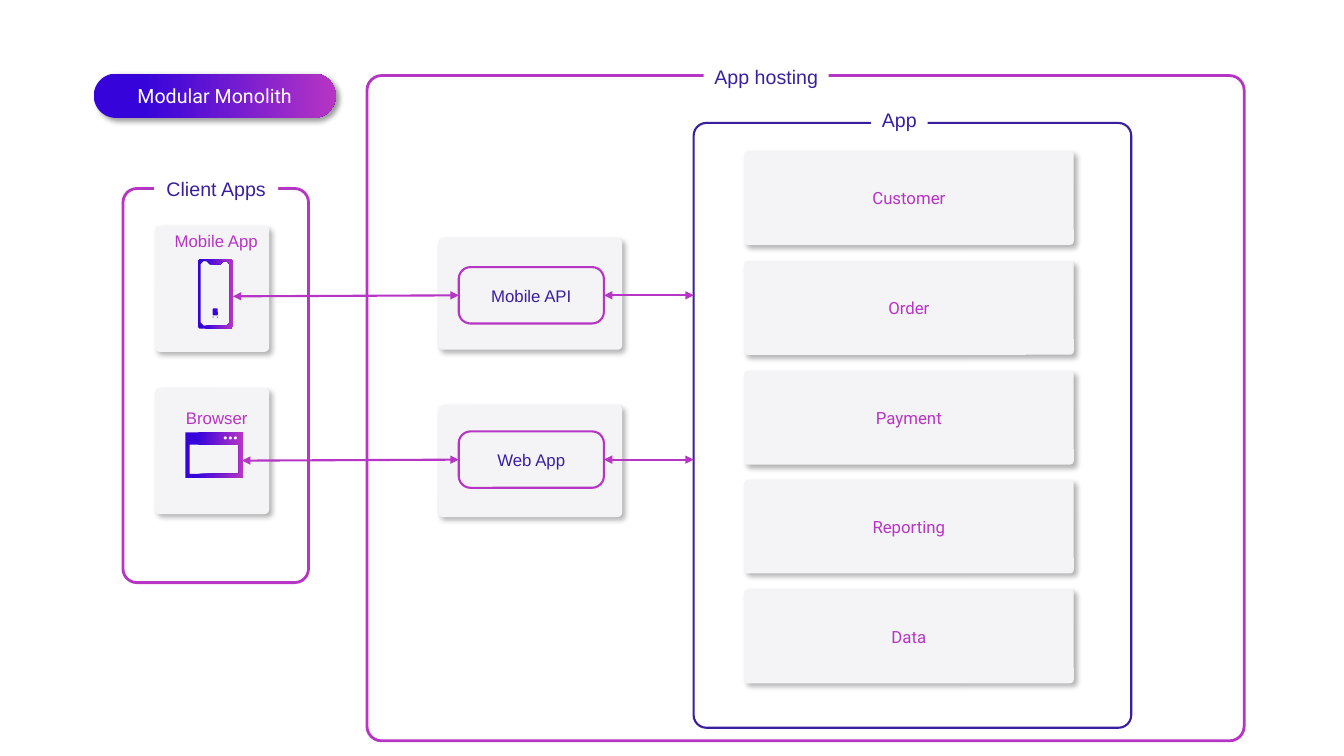
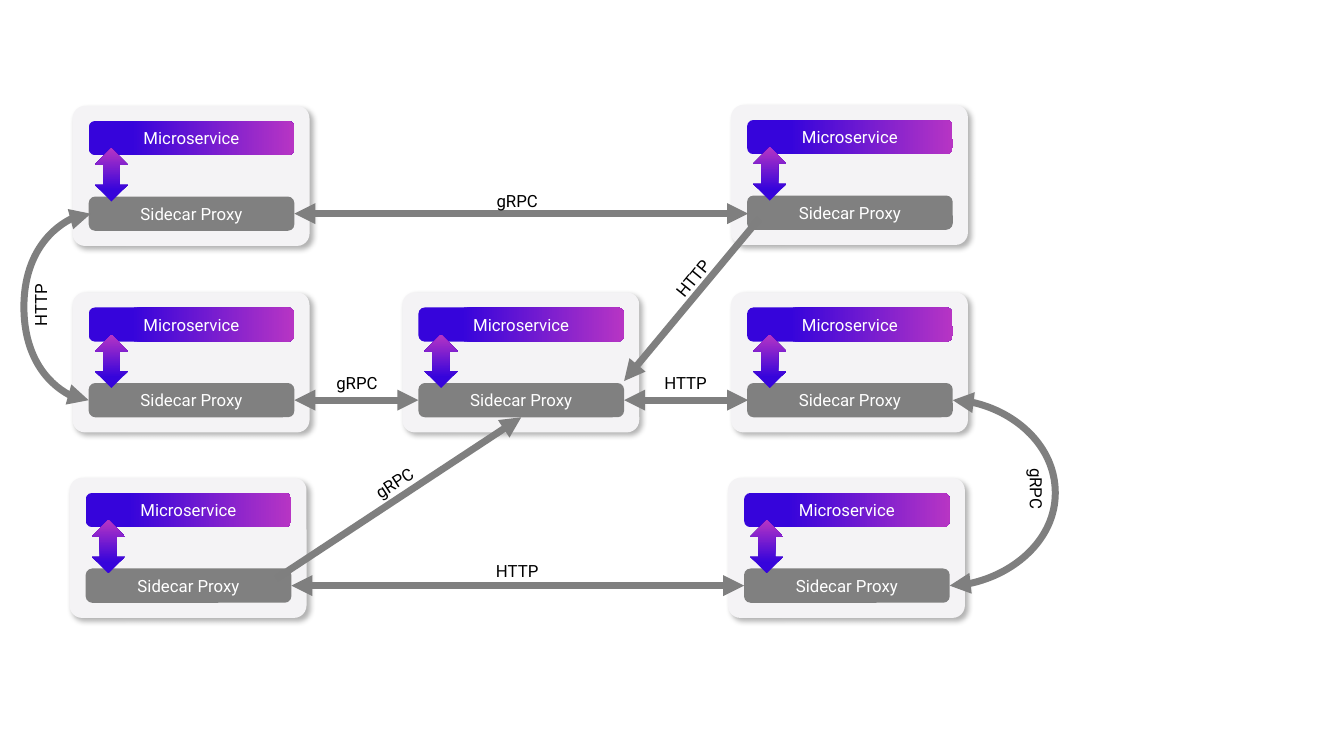
"""Build two architecture slides: a modular monolith and a service mesh."""
from dataclasses import dataclass

import lxml.etree
import pptx
import pptx.dml.color
import pptx.enum.dml
import pptx.enum.shapes
import pptx.enum.text
import pptx.oxml
import pptx.oxml.ns
import pptx.util

PX = 9144
SHAPES = pptx.enum.shapes.MSO_SHAPE
CONNECTORS = pptx.enum.shapes.MSO_CONNECTOR


@dataclass(frozen=True)
class Theme:
    """Colours, fonts, type sizes and line widths."""
    purple: str = "B735C4"
    blue: str = "3604DB"
    indigo: str = "3A20A0"
    app_frame: str = "391E9F"
    card: str = "F4F3F5"
    white: str = "FFFFFF"
    black: str = "000000"
    proxy: str = "808080"
    mesh: str = "7F7F7F"
    plain_font: str = "Arial"
    brand_font: str = "Roboto"
    heading: int = 14
    body: int = 12
    frame_line: float = 2
    thin_line: float = 1.5
    mesh_line: float = 5


THEME = Theme()

MODULES = ["Customer", "Order", "Payment", "Reporting", "Data"]
MODULE_LEFT, MODULE_WIDTH, MODULE_HEIGHT = 738, 327, 93
MODULE_TOP, MODULE_LAST_TOP = 150, 585
PLAIN_CARDS = [(154, 224, 113, 125), (154, 385, 113, 125),
               (435, 236, 182, 111), (435, 402, 182, 111)]
FRAMES = [
    ("Client Apps", (122, 187, 184, 391), 0.075, THEME.purple, THEME.frame_line, (153, 170, 123, 34)),
    ("App hosting", (364, 75, 870, 660), 0.022, THEME.purple, THEME.frame_line, (698, 59, 124, 34)),
    ("App", (688, 122, 434, 600), 0.029, THEME.app_frame, THEME.thin_line, (864, 102, 56, 34)),
]
CLIENT_NAMES = [("Mobile App", (162, 224, 105, 30)), ("Browser", (174, 400, 82, 30))]
ENDPOINTS = [("Mobile API", (455, 265, 144, 56)), ("Web App", (455, 428, 144, 56))]
CLIENT_LINKS = [((231, 294), (455, 293)), ((240, 457), (455, 456)),
                ((599, 293), (688, 293)), ((599, 456), (688, 456))]
PHONE = [
    [(198, 257), (229, 257), (231, 259), (231, 324), (229, 326), (198, 326), (196, 324), (196, 259)],
    [(202, 259), (205, 259), (208, 262), (219, 262), (222, 259), (225, 259),
     (228, 262), (228, 320), (225, 323), (202, 323), (199, 320), (199, 262)],
]
WINDOW = [
    [(184, 429), (241, 429), (241, 474), (184, 474)],
    [(188, 441), (237, 441), (237, 470), (188, 470)],
]
PHONE_DETAILS = [(211, 306, 5, 7), (211, 314, 1, 1), (215, 314, 1, 1), (219, 259, 1, 1)]
WINDOW_BUTTONS = [(left, 433, 3, 3) for left in (222, 227, 232)]

SERVICES = [(69, 474), (72, 105), (72, 290), (399, 290), (722, 474), (725, 104), (725, 290)]
MESH_LINKS = [
    ((289, 581), (738, 581), True),
    ((274, 574), (517, 414), False),
    ((619, 397), (742, 397), True),
    ((292, 397), (415, 397), True),
    ((753, 217), (619, 378), False),
    ((292, 212), (742, 212), True),
]
MESH_CURVES = [((945, 397), (942, 581), 1047), ((90, 212), (88, 397), 24)]
MESH_LABELS = [
    ("HTTP", (289, 551, 448, 30), 0),
    ("gRPC", (255, 464, 272, 30), 326.8),
    ("gRPC", (293, 365, 122, 30), 0),
    ("HTTP", (-54, 288, 188, 30), 270),
    ("gRPC", (934, 470, 188, 30), 90),
    ("HTTP", (456, 365, 448, 30), 0),
    ("HTTP", (463, 261, 448, 30), 309.2),
    ("gRPC", (289, 184, 448, 30), 0),
]


def rgb(colour):
    return pptx.dml.color.RGBColor.from_string(colour)


def paint(shape, fill, angle=0):
    """Fill with a colour, with the brand gradient, or with nothing."""
    if fill == "gradient":
        shape.fill.gradient()
        shape.fill.gradient_angle = angle
        stops = zip(shape.fill.gradient_stops, ((0.21, THEME.blue), (1, THEME.purple)))
        for stop, (position, colour) in stops:
            stop.position = position
            stop.color.rgb = rgb(colour)
    elif fill:
        shape.fill.solid()
        shape.fill.fore_color.rgb = rgb(fill)
    else:
        shape.fill.background()


def add_shadow(shape, opacity):
    """Cast a soft shadow to the lower right."""
    effects = shape._element.spPr.find(pptx.oxml.ns.qn("a:effectLst"))
    shadow = lxml.etree.SubElement(effects, pptx.oxml.ns.qn("a:outerShdw"), blurRad="50800",
                                   dist="38100", dir="2700000", algn="tl", rotWithShape="0")
    colour = lxml.etree.SubElement(shadow, pptx.oxml.ns.qn("a:srgbClr"), val=THEME.black)
    lxml.etree.SubElement(colour, pptx.oxml.ns.qn("a:alpha"), val=str(opacity * 1000))


def write(shape, text, colour, font, size):
    """Centre one line of text in a shape."""
    frame = shape.text_frame
    frame.margin_left = frame.margin_right = frame.margin_top = frame.margin_bottom = 0
    frame.word_wrap = False
    frame.vertical_anchor = pptx.enum.text.MSO_ANCHOR.MIDDLE
    frame.text = text
    paragraph = frame.paragraphs[0]
    paragraph.alignment = pptx.enum.text.PP_ALIGN.CENTER
    paragraph.font.name = font
    paragraph.font.size = pptx.util.Pt(size)
    paragraph.font.color.rgb = rgb(colour)


def add_box(shapes, box, fill=None, kind=SHAPES.ROUNDED_RECTANGLE, radius=None,
            line=None, width=THEME.thin_line, shadow=0, angle=0):
    shape = shapes.add_shape(kind, *(value * PX for value in box))
    shape.shadow.inherit = False
    paint(shape, fill, angle)
    if line:
        shape.line.color.rgb = rgb(line)
        shape.line.width = pptx.util.Pt(width)
    else:
        shape.line.fill.background()
    if radius is not None:
        shape.adjustments[0] = radius
    if shadow:
        add_shadow(shape, shadow)
    return shape


def add_card(shapes, box, radius=0.039):
    return add_box(shapes, box, THEME.card, radius=radius, shadow=30)


def add_label(shapes, text, box, colour, font, rotation=0):
    label = shapes.add_textbox(*(value * PX for value in box))
    label.rotation = rotation
    write(label, text, colour, font, THEME.body)


def add_icon(shapes, outlines):
    """Draw nested outlines as one shape, the inner one cut out."""
    first, *holes = outlines
    builder = shapes.build_freeform(*first[0], scale=PX)
    builder.add_line_segments(first[1:], close=True)
    for hole in holes:
        builder.move_to(*hole[0])
        builder.add_line_segments(hole[1:], close=True)
    icon = builder.convert_to_shape()
    icon.shadow.inherit = False
    paint(icon, "gradient")
    icon.line.fill.background()


def add_link(shapes, start, end, colour, width, both_ends=True, peak=None):
    """Join two points with arrowheads, bowing out to the peak if one is given."""
    kind = CONNECTORS.STRAIGHT if peak is None else CONNECTORS.CURVE
    link = shapes.add_connector(kind, *(value * PX for value in start + end))
    link.line.color.rgb = rgb(colour)
    link.line.width = pptx.util.Pt(width)
    outline = link.line._get_or_add_ln()
    for name in ("a:headEnd", "a:tailEnd") if both_ends else ("a:tailEnd",):
        lxml.etree.SubElement(outline, pptx.oxml.ns.qn(name), type="triangle")
    properties = link._element.spPr
    lxml.etree.SubElement(properties, pptx.oxml.ns.qn("a:effectLst"))
    if peak is not None:
        bend = round((start[0] - peak) / (start[0] - end[0]) * 100000)
        geometry = properties.find(pptx.oxml.ns.qn("a:prstGeom"))
        guides = geometry.find(pptx.oxml.ns.qn("a:avLst"))
        lxml.etree.SubElement(guides, pptx.oxml.ns.qn("a:gd"), name="adj1", fmla=f"val {bend}")


def build_monolith(shapes):
    for box in PLAIN_CARDS:
        add_card(shapes, box)
    step = (MODULE_LAST_TOP - MODULE_TOP) / (len(MODULES) - 1)
    for index, name in enumerate(MODULES):
        top = MODULE_TOP + round(index * step)
        card = add_card(shapes, (MODULE_LEFT, top, MODULE_WIDTH, MODULE_HEIGHT))
        write(card, name, THEME.purple, THEME.brand_font, THEME.body)

    title = add_box(shapes, (93, 73, 240, 44), "gradient", radius=0.5, shadow=40)
    write(title, "Modular Monolith", THEME.white, THEME.brand_font, THEME.heading)
    for name, box, radius, colour, width, heading_box in FRAMES:
        add_box(shapes, box, radius=radius, line=colour, width=width)
        heading = add_box(shapes, heading_box, THEME.white, SHAPES.RECTANGLE)
        write(heading, name, THEME.indigo, THEME.plain_font, THEME.heading)

    for outlines in (PHONE, WINDOW):
        add_icon(shapes, outlines)
    for box in PHONE_DETAILS:
        add_box(shapes, box, THEME.blue)
    for box in WINDOW_BUTTONS:
        add_box(shapes, box, THEME.card, SHAPES.OVAL)
    for name, box in CLIENT_NAMES:
        add_label(shapes, name, box, THEME.purple, THEME.plain_font)
    for start, end in CLIENT_LINKS:
        add_link(shapes, start, end, THEME.purple, THEME.thin_line)
    for name, box in ENDPOINTS:
        endpoint = add_box(shapes, box, radius=0.209, line=THEME.purple)
        write(endpoint, name, THEME.indigo, THEME.plain_font, THEME.body)


def add_service(shapes, left, top):
    """Group a microservice with its sidecar proxy on one card."""
    members = shapes.add_group_shape().shapes
    add_card(members, (left, top, 235, 139), radius=0.089)
    for name, offset, fill in (("Microservice", 15, "gradient"), ("Sidecar Proxy", 90, THEME.proxy)):
        bar = add_box(members, (left + 16, top + offset, 204, 34), fill, radius=0.19)
        write(bar, name, THEME.white, THEME.brand_font, THEME.body)
    add_box(members, (left + 22, top + 42, 33, 53), "gradient", SHAPES.UP_DOWN_ARROW, angle=90)


def build_mesh(shapes):
    for left, top in SERVICES:
        add_service(shapes, left, top)
    for start, end, both_ends in MESH_LINKS:
        add_link(shapes, start, end, THEME.mesh, THEME.mesh_line, both_ends)
    for start, end, peak in MESH_CURVES:
        add_link(shapes, start, end, THEME.mesh, THEME.mesh_line, peak=peak)
    for text, box, rotation in MESH_LABELS:
        add_label(shapes, text, box, THEME.black, THEME.brand_font, rotation)


def main():
    presentation = pptx.Presentation()
    presentation.slide_width = 1333 * PX
    presentation.slide_height = 750 * PX
    for build in (build_monolith, build_mesh):
        slide = presentation.slides.add_slide(presentation.slide_layouts[6])
        build(slide.shapes)
    presentation.save("out.pptx")


if __name__ == "__main__":
    main()
